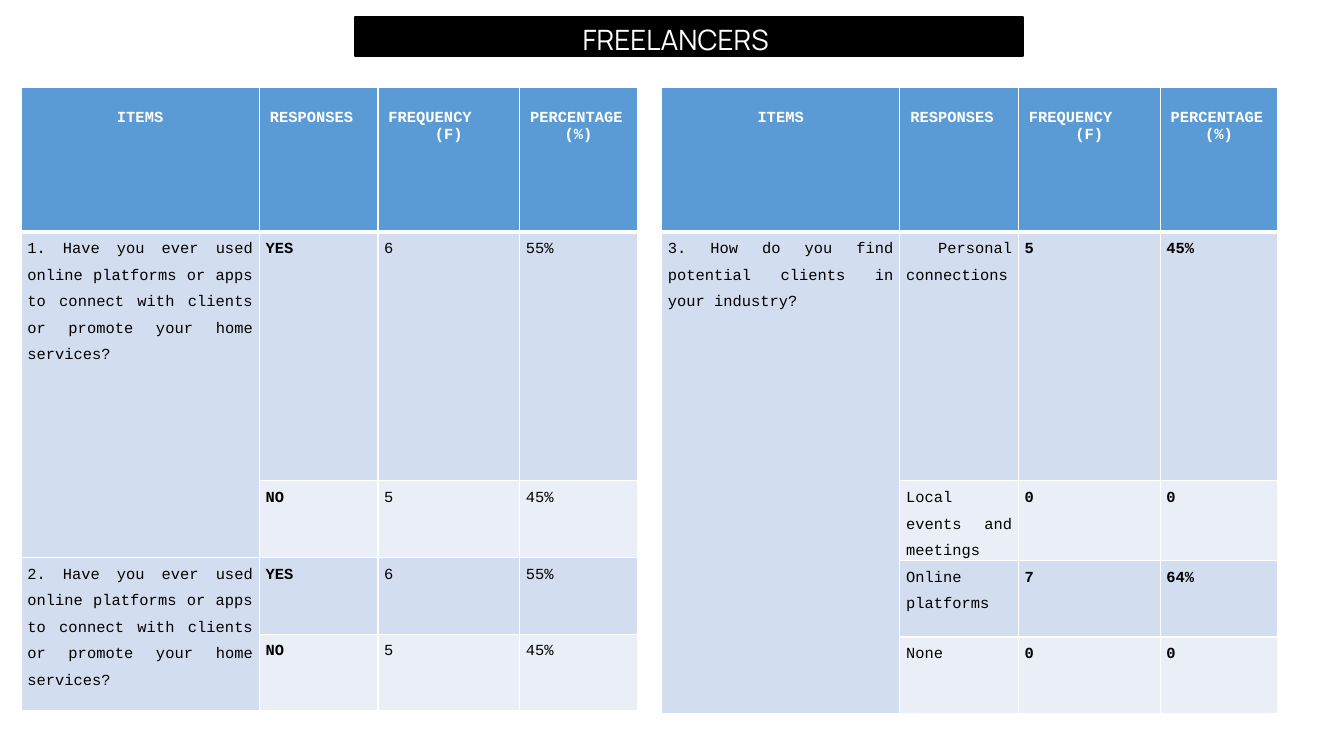
from dataclasses import dataclass

from lxml.etree import SubElement
from pptx import Presentation
from pptx.dml.color import RGBColor
from pptx.enum.text import MSO_ANCHOR, MSO_AUTO_SIZE, PP_ALIGN
from pptx.oxml.ns import qn
from pptx.util import Emu, Pt


@dataclass(frozen=True)
class Theme:
    """Colours, fonts and type sizes of the slide."""
    black: str = "000000"
    white: str = "FFFFFF"
    head: str = "5B9BD5"
    dark: str = "D2DEEF"
    light: str = "EAEFF7"
    mono: str = "Courier New"
    sans: str = "Manrope"
    small: int = 11
    large: int = 20


THEME = Theme()
COLS = (227, 113, 135, 112)
ROWS = (138, 237, 73, 73, 73)
HEADS = (("ITEMS",), ("RESPONSES",), ("FREQUENCY", "(F)"), ("PERCENTAGE", "(%)"))
USED = "Have you ever used online platforms or apps to connect with clients or promote your home services?"
VOTES = (("YES", "6", "55%"), ("NO", "5", "45%"))
USAGE = ((f"1. {USED}", VOTES), (f"2. {USED}", VOTES))
SEARCH = (("3. How do you find potential clients in your industry?", (
    (" Personal connections", "5", "45%"),
    ("Local events and meetings", "0", "0"),
    ("Online platforms", "7", "64%"),
    ("None", "0", "0"),
)),)


def px(count):
    """Turn pixels into EMU."""
    return Emu(count * 9525)


def rgb(code):
    """Turn a hex code into a colour."""
    return RGBColor.from_string(code)


def style(para, face, size, color, bold=False):
    """Set the font of a paragraph."""
    font = para.font
    font.name, font.size, font.bold = face, Pt(size), bold
    font.color.rgb = rgb(color)


def inset(box, left, top, right, bottom):
    """Set the four margins of a cell or text frame."""
    box.margin_left, box.margin_top = px(left), px(top)
    box.margin_right, box.margin_bottom = px(right), px(bottom)


def paint(cell, color, top=1, bottom=1):
    """Fill a cell and rule its four sides in white."""
    cell.fill.solid()
    cell.fill.fore_color.rgb = rgb(color)
    props = cell._tc.get_or_add_tcPr()
    sides = (("lnL", 1), ("lnR", 1), ("lnT", top), ("lnB", bottom))
    for place, (side, width) in enumerate(sides):
        line = SubElement(props, qn(f"a:{side}"), w=str(Pt(width)))
        fill = SubElement(line, qn("a:solidFill"))
        SubElement(fill, qn("a:srgbClr"), val=THEME.white)
        props.insert(place, line)


def add_head(cell, lines, center):
    """Write a column heading."""
    inset(cell, 10, 21, 10, 5)
    cell.text = "\n".join(lines)
    for index, para in enumerate(cell.text_frame.paragraphs):
        para.alignment = PP_ALIGN.CENTER if center or index else PP_ALIGN.LEFT
        style(para, THEME.mono, THEME.small, THEME.white, True)


def add_body(cell, text, bold=False):
    """Write a justified body cell."""
    inset(cell, 6, 0, 6, 0)
    cell.text = text
    para = cell.text_frame.paragraphs[0]
    para.alignment = PP_ALIGN.JUSTIFY
    para.line_spacing = 1.5
    para.space_before = para.space_after = Pt(12)
    style(para, THEME.mono, THEME.small, THEME.black, bold)


def add_survey(slide, left, items, strong):
    """Add a table of questions, with the strong columns in bold."""
    frame = slide.shapes.add_table(
        len(ROWS), len(COLS), px(left), px(83), px(sum(COLS)), px(sum(ROWS)))
    table = frame.table
    table.first_row = table.horz_banding = False
    for col, width in zip(table.columns, COLS):
        col.width = px(width)
    for row, height in zip(table.rows, ROWS):
        row.height = px(height)
    for col, lines in enumerate(HEADS):
        cell = table.cell(0, col)
        paint(cell, THEME.head, bottom=3)
        add_head(cell, lines, col == 0)
    row = 1
    for item, answers in items:
        first = table.cell(row, 0)
        first.merge(table.cell(row + len(answers) - 1, 0))
        add_body(first, item)
        for answer in answers:
            top = 3 if row == 1 else 1
            paint(table.cell(row, 0), THEME.dark, top)
            for col, text in enumerate(answer, 1):
                cell = table.cell(row, col)
                paint(cell, THEME.dark if row % 2 else THEME.light, top)
                add_body(cell, text, col in strong)
            row += 1


def add_title(slide, text):
    """Write the title on a black bar."""
    bar = slide.shapes.title
    bar.left, bar.top, bar.width, bar.height = px(338), px(16), px(636), px(37)
    bar.fill.solid()
    bar.fill.fore_color.rgb = rgb(THEME.black)
    bar.line.color.rgb = rgb(THEME.black)
    bar.line.width = Pt(1.5)
    frame = bar.text_frame
    frame.text = text
    frame.auto_size = MSO_AUTO_SIZE.NONE
    frame.vertical_anchor = MSO_ANCHOR.MIDDLE
    inset(frame, 10, 6, 35, 0)
    para = frame.paragraphs[0]
    para.alignment = PP_ALIGN.CENTER
    style(para, THEME.sans, THEME.large, THEME.white)


def main():
    """Build the slide and save it."""
    deck = Presentation()
    deck.slide_width, deck.slide_height = px(1280), px(720)
    slide = deck.slides.add_slide(deck.slide_layouts[5])
    add_title(slide, "FREELANCERS")
    add_survey(slide, 20, USAGE, (1,))
    add_survey(slide, 630, SEARCH, (2, 3))
    deck.save("out.pptx")


if __name__ == "__main__":
    main()
